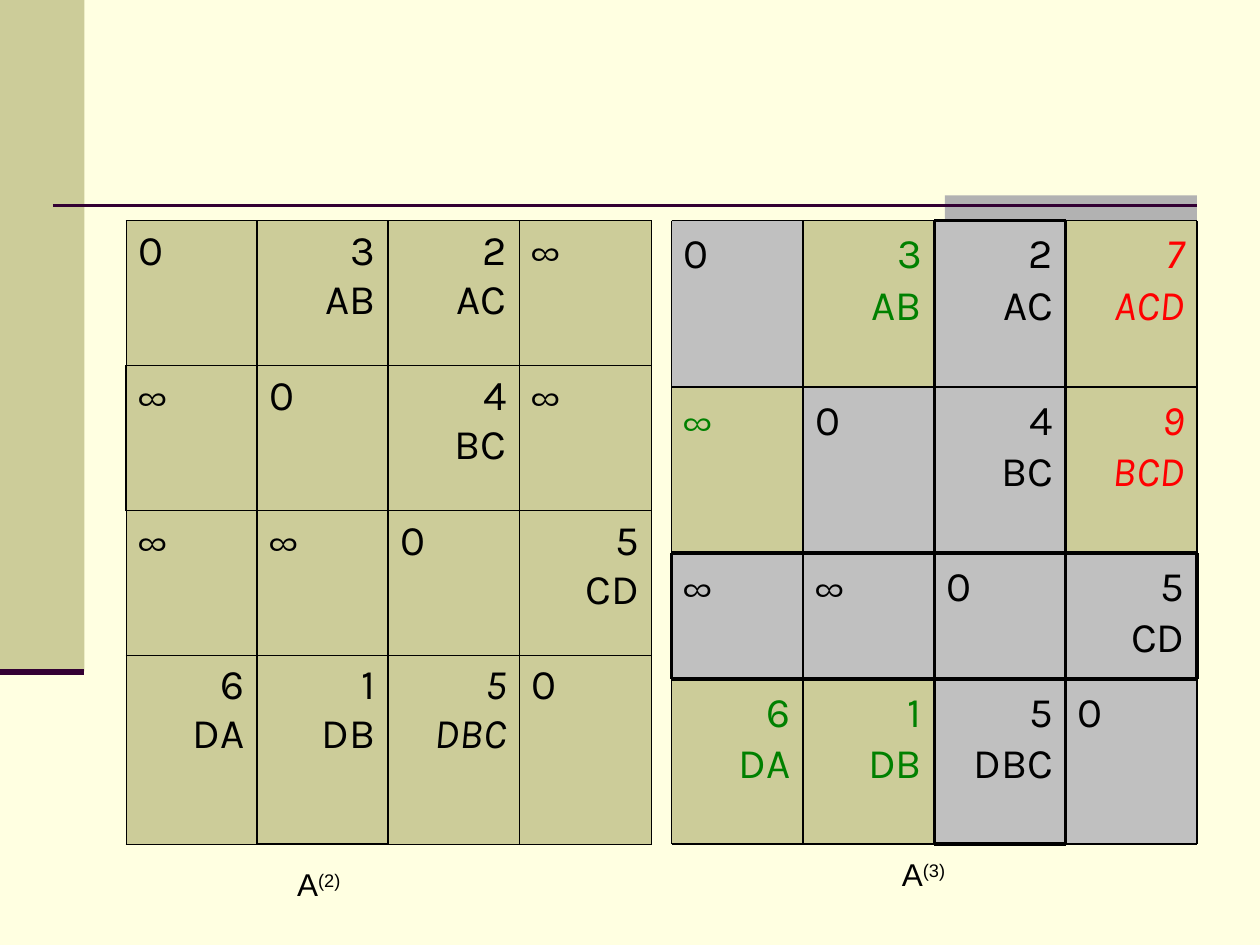
import pptx
import pptx.util
import pptx.dml.color
import pptx.enum.shapes
import pptx.enum.text
import pptx.oxml
import pptx.oxml.ns
from dataclasses import dataclass

Inches, Pt = pptx.util.Inches, pptx.util.Pt
Shape = pptx.enum.shapes.MSO_SHAPE
Align = pptx.enum.text.PP_ALIGN
Anchor = pptx.enum.text.MSO_ANCHOR


@dataclass(frozen=True)
class Theme:
    paper: str = "FFFFE1"
    khaki: str = "CCCC99"
    grey: str = "C0C0C0"
    tab: str = "B2B2B2"
    plum: str = "330033"
    ink: str = "000000"
    green: str = "008000"
    red: str = "FF0000"
    font: str = "Karla"
    label: str = "Arial"
    big: int = 24
    small: int = 18


T = Theme()
SIZE = 4
TOP, WIDE, HIGH = 1.75, 4.17, 4.95

# Distances, with the path on the second line
LEFT = [["0", "3\nAB", "2\nAC", "∞"],
        ["∞", "0", "4\nBC", "∞"],
        ["∞", "∞", "0", "5\nCD"],
        ["6\nDA", "1\nDB", "5\nDBC", "0"]]
RIGHT = [["0", "3\nAB", "2\nAC", "7\nACD"],
         ["∞", "0", "4\nBC", "9\nBCD"],
         ["∞", "∞", "0", "5\nCD"],
         ["6\nDA", "1\nDB", "5\nDBC", "0"]]


def paint(fill, color):
    fill.solid()
    fill.fore_color.rgb = pptx.dml.color.RGBColor.from_string(color)


def style(run, font, size, color, slant=False):
    run.font.name, run.font.size = font, Pt(size)
    run.font.italic = slant
    run.font.color.rgb = pptx.dml.color.RGBColor.from_string(color)


def box(slide, left, top, width, height, color):
    shape = slide.shapes.add_shape(
        Shape.RECTANGLE, *map(Inches, (left, top, width, height)))
    shape.shadow.inherit = False
    shape.line.fill.background()
    paint(shape.fill, color)
    return shape


def line(slide, start, end, width, color=T.ink):
    link = slide.shapes.add_connector(
        pptx.enum.shapes.MSO_CONNECTOR.STRAIGHT, *map(Inches, start + end))
    link.line.width = Pt(width)
    paint(link.line.fill, color)
    link._element.spPr.append(pptx.oxml.parse_xml(
        '<a:effectLst %s/>' % pptx.oxml.ns.nsdecls("a")))


def write(frame, text, color=T.ink, slant=False, gap=0):
    """Fill a matrix cell: paths go right, plain values left."""
    frame.text = text
    for par in frame.paragraphs:
        par.alignment = Align.RIGHT if "\n" in text else Align.LEFT
        par.space_before = Pt(gap)
        props = par._p.get_or_add_pPr()
        props.set("marL", str(Inches(0.38)))
        props.set("indent", str(-Inches(0.38)))
        for run in par.runs:
            style(run, T.font, T.big, color, slant)


def edge(cell, side, width):
    cell._tc.get_or_add_tcPr().append(pptx.oxml.parse_xml(
        '<a:ln%s %s w="%d"><a:solidFill><a:srgbClr val="%s"/></a:solidFill></a:ln%s>'
        % (side, pptx.oxml.ns.nsdecls("a"), Pt(width), T.ink, side)))


def share(total, step):
    """Equal steps, with the rest in the last one."""
    return [step] * (SIZE - 1) + [total - step * (SIZE - 1)]


def grid(slide, left, pivot, thin=0.45, thick=0.96):
    """Table whose pivot row and column have a thicker outline."""
    frame = slide.shapes.add_table(
        SIZE, SIZE, *map(Inches, (left, TOP, WIDE, HIGH)))
    table = frame.table
    table.first_row = table.horz_banding = False
    for col, width in zip(table.columns, share(WIDE, 1.04)):
        col.width = Inches(width)
    for row, height in zip(table.rows, share(HIGH, 1.15)):
        row.height = Inches(height)
    for r, row in enumerate(table.rows):
        for c, cell in enumerate(row.cells):
            write(cell.text_frame, LEFT[r][c], slant=LEFT[r][c].endswith("DBC"))
            for side, at, on in (("L", c, r), ("R", c + 1, r),
                                 ("T", r, c), ("B", r + 1, c)):
                bold = at in (pivot, pivot + 1) or (on == pivot and at in (0, SIZE))
                edge(cell, side, thick if bold else thin)
            paint(cell.fill, T.khaki)


def rule(slide, marks, cross, pivot, place):
    """Draw the lines across one direction, thick around the pivot."""
    for i, at in enumerate(marks):
        if i in (0, SIZE):
            stops = (0, pivot, pivot + 1, SIZE)
            spans = zip(stops, stops[1:], (1, 2, 1))
        else:
            spans = [(0, SIZE, 2 if i in (pivot, pivot + 1) else 1)]
        for first, last, width in spans:
            line(slide, place(at, cross[first]), place(at, cross[last]), width)


def tiles(slide, left, pivot):
    """Matrix of boxes: grey is fixed, green is kept, red is improved."""
    xs = [left + WIDE / SIZE * i for i in range(SIZE + 1)]
    ys = [TOP, 3.07, 4.39, 5.39, TOP + HIGH]
    for r, row in enumerate(RIGHT):
        for c, text in enumerate(row):
            fixed = r == c or pivot in (r, c)
            new = text != LEFT[r][c]
            shape = box(slide, xs[c], ys[r], xs[c + 1] - xs[c],
                        ys[r + 1] - ys[r], T.grey if fixed else T.khaki)
            shape.text_frame.vertical_anchor = Anchor.TOP
            shape.text_frame.word_wrap = True
            color = T.ink if fixed else T.red if new else T.green
            write(shape.text_frame, text, color, new, gap=0.5)
    rule(slide, ys, xs, pivot, lambda y, x: (x, y))
    rule(slide, xs, ys, pivot, lambda x, y: (x, y))


def label(slide, left, top, power):
    shape = slide.shapes.add_textbox(*map(Inches, (left, top, 0.54, 0.4)))
    paint(shape.fill, T.paper)
    frame = shape.text_frame
    frame.word_wrap = False
    frame.auto_size = pptx.enum.text.MSO_AUTO_SIZE.NONE
    frame.margin_right = 0  # room for the raised power on one line
    par = frame.paragraphs[0]
    par.alignment = Align.LEFT
    for text in ("A", power):
        run = par.add_run()
        run.text = text
        style(run, T.label, T.small, T.ink)
    run.font._element.set("baseline", "30000")


def main():
    deck = pptx.Presentation()
    deck.slide_width, deck.slide_height = Inches(10), Inches(7.5)
    slide = deck.slides.add_slide(deck.slide_layouts[6])
    paint(slide.background.fill, T.paper)

    # Page trim
    box(slide, 0, 0, 0.67, 5.33, T.khaki)
    box(slide, 7.5, 1.55, 2, 0.2, T.tab)
    line(slide, (0.42, 1.63), (9.5, 1.63), 1.5, T.plum)
    line(slide, (0, 5.33), (0.67, 5.33), 3.5, T.plum)

    # Matrices, each with its pivot row and column
    grid(slide, 1, pivot=1)
    tiles(slide, 5.33, pivot=2)
    label(slide, 2.26, 6.82, "(2)")
    label(slide, 7.06, 6.74, "(3)")
    deck.save("out.pptx")


if __name__ == "__main__":
    main()
